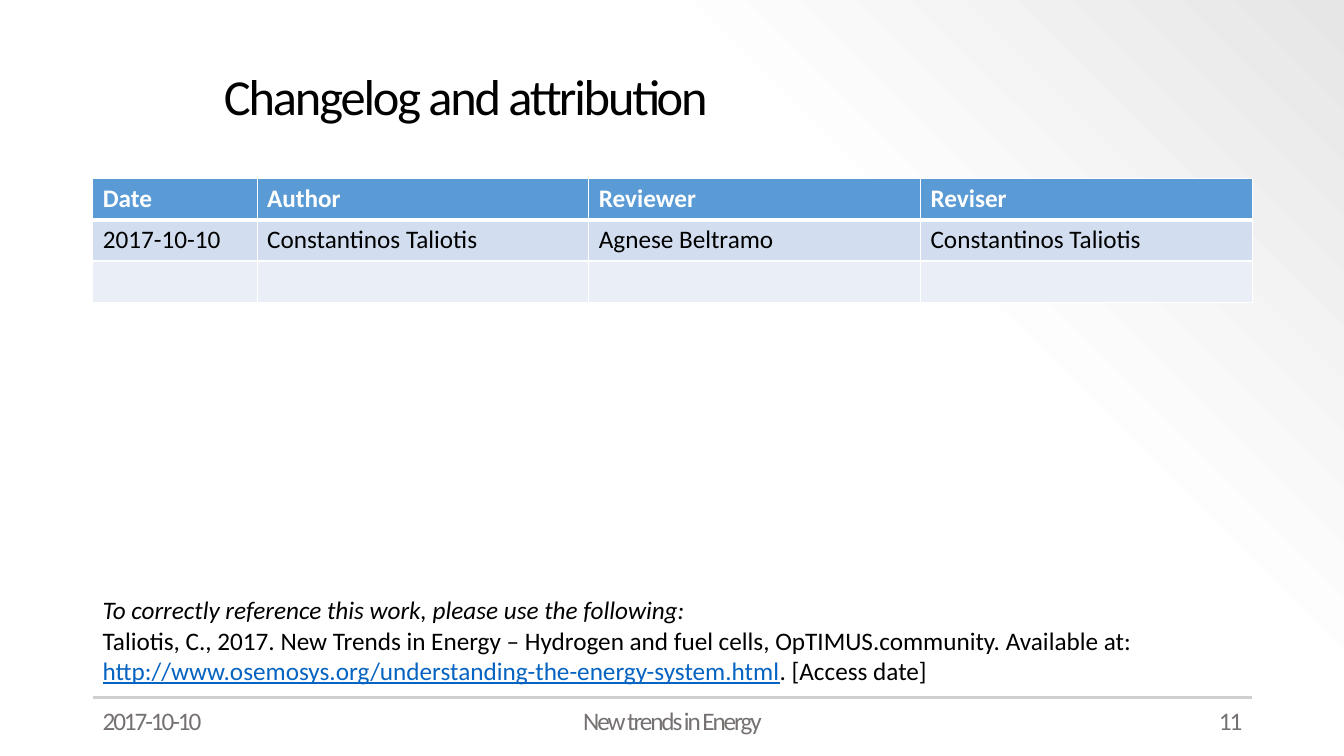
from copy import deepcopy
from dataclasses import dataclass, field

from lxml.etree import SubElement
from pptx import Presentation
from pptx.dml.color import RGBColor
from pptx.enum.shapes import MSO_CONNECTOR
from pptx.enum.text import MSO_ANCHOR, MSO_AUTO_SIZE, PP_ALIGN
from pptx.oxml.ns import qn
from pptx.slide import Slide
from pptx.text.text import TextFrame
from pptx.util import Emu, Pt

PX = 9144
FONT = "Calibri"
BLACK, WHITE, GREY, LINK = "000000", "FFFFFF", "767171", "0563C1"


@dataclass
class Run:
    text: str
    color: str = BLACK
    size: int = 18
    spacing: int = 0
    fmt: dict = field(default_factory=dict)


@dataclass
class TextBox:
    box: tuple[int, int, int, int]
    paragraphs: list[list[Run]]
    align: PP_ALIGN = PP_ALIGN.LEFT
    inset_y: int = 5


@dataclass
class TableRow:
    texts: list[str]
    fill: str
    color: str
    top: int
    bottom: int
    bold: bool = False


def px(n: int) -> Emu:
    return Emu(n * PX)


def rgb(value: str) -> RGBColor:
    return RGBColor.from_string(value)


def write(tf: TextFrame, paragraphs: list[list[Run]], align: PP_ALIGN) -> None:
    for i, runs in enumerate(paragraphs):
        p = tf.add_paragraph() if i else tf.paragraphs[0]
        p.alignment = align
        for run in runs:
            r = p.add_run()
            r.text = run.text
            values = {"name": FONT, "size": Pt(run.size), **run.fmt}
            for name, value in values.items():
                setattr(r.font, name, value)
            r.font.color.rgb = rgb(run.color)
            if run.spacing:
                r.font._element.set("spc", str(run.spacing))


def draw_background(slide: Slide, stops: list[tuple[float, str]]) -> None:
    fill = slide.background.fill
    fill.gradient()
    fill.gradient_angle = 45
    gs_list = slide.element.find(".//" + qn("a:gsLst"))
    gs_list.insert(1, deepcopy(gs_list[0]))
    for stop, (position, color) in zip(fill.gradient_stops, stops):
        stop.position = position
        stop.color.rgb = rgb(color)


def draw_title(slide: Slide, text: str, box: tuple[int, int, int, int]) -> None:
    sp = slide.shapes.title
    sp.left, sp.top, sp.width, sp.height = map(px, box)
    tf = sp.text_frame
    frame = {"word_wrap": True, "auto_size": MSO_AUTO_SIZE.NONE,
             "vertical_anchor": MSO_ANCHOR.MIDDLE}
    for name, value in frame.items():
        setattr(tf, name, value)
    write(tf, [[Run(text, size=36, spacing=-150)]], PP_ALIGN.LEFT)
    tf.paragraphs[0].line_spacing = 0.9


def draw_text(slide: Slide, item: TextBox) -> None:
    tf = slide.shapes.add_textbox(*map(px, item.box)).text_frame
    frame = {"word_wrap": True, "margin_left": px(10), "margin_right": px(10),
             "margin_top": px(item.inset_y), "margin_bottom": px(item.inset_y)}
    for name, value in frame.items():
        setattr(tf, name, value)
    write(tf, item.paragraphs, item.align)


def draw_rule(slide: Slide, left: int, right: int, y: int) -> None:
    line = slide.shapes.add_connector(
        MSO_CONNECTOR.STRAIGHT, px(left), px(y), px(right), px(y))
    line.line.color.rgb = rgb("D0CECE")
    line.line.width = Pt(1.5)
    SubElement(line._element.spPr, qn("a:effectLst"))


def draw_table(slide: Slide, left: int, top: int, widths: list[int],
               height: int, rows: list[TableRow]) -> None:
    table = slide.shapes.add_table(
        len(rows), len(widths), px(left), px(top),
        px(sum(widths)), px(height * len(rows))).table
    for column, width in zip(table.columns, widths):
        column.width = px(width)
    for i, row in enumerate(rows):
        table.rows[i].height = px(height)
        for cell, text in zip(table.rows[i].cells, row.texts):
            tc_pr = cell._tc.get_or_add_tcPr()
            borders = {"L": 1, "R": 1, "T": row.top, "B": row.bottom}
            for side, width in borders.items():
                ln = SubElement(tc_pr, qn(f"a:ln{side}"), w=str(Pt(width)))
                solid = SubElement(ln, qn("a:solidFill"))
                SubElement(solid, qn("a:srgbClr"), val=WHITE)
            cell.fill.solid()
            cell.fill.fore_color.rgb = rgb(row.fill)
            if text:
                run = Run(text, row.color, fmt={"bold": row.bold})
                write(cell.text_frame, [[run]], PP_ALIGN.LEFT)


def footer(text: str, left: int, width: int, align: PP_ALIGN) -> TextBox:
    return TextBox((left, 695, width, 40), [[Run(text, GREY, spacing=-150)]], align)


ROWS = [
    TableRow(["Date", "Author", "Reviewer", "Reviser"], "5B9BD5", WHITE, 1, 3, True),
    TableRow(["2017-10-10", "Constantinos Taliotis", "Agnese Beltramo",
              "Constantinos Taliotis"], "D2DEEF", BLACK, 3, 1),
    TableRow([""] * 4, "EAEFF7", BLACK, 1, 1),
]

REFERENCE = [
    [Run("To correctly reference this work, please use the following:",
         fmt={"italic": True})],
    [Run("Taliotis, C., 2017. New Trends in Energy – Hydrogen and fuel cells, "
         "OpTIMUS.community. Available at: "),
     Run("http://www.osemosys.org/understanding-the-energy-system.html", LINK,
         fmt={"underline": True}),
     Run(". [Access date]")],
]

TEXTS = [
    footer("2017-10-10", 92, 300, PP_ALIGN.LEFT),
    footer("New trends in Energy", 442, 450, PP_ALIGN.CENTER),
    footer("11", 942, 300, PP_ALIGN.RIGHT),
    TextBox((92, 590, 1150, 93), REFERENCE, inset_y=0),
]


def main() -> None:
    prs = Presentation()
    prs.slide_width, prs.slide_height = px(1333), px(750)
    slide = prs.slides.add_slide(prs.slide_layouts[5])
    draw_background(slide, [(0, WHITE), (0.69, "FDFDFD"), (1, "E7E6E6")])
    draw_rule(slide, 92, 1242, 692)
    draw_title(slide, "Changelog and attribution", (212, 37, 1030, 122))
    draw_table(slide, 92, 177, [163, 329, 329, 329], 41, ROWS)
    for item in TEXTS:
        draw_text(slide, item)
    prs.save("out.pptx")


if __name__ == "__main__":
    main()
